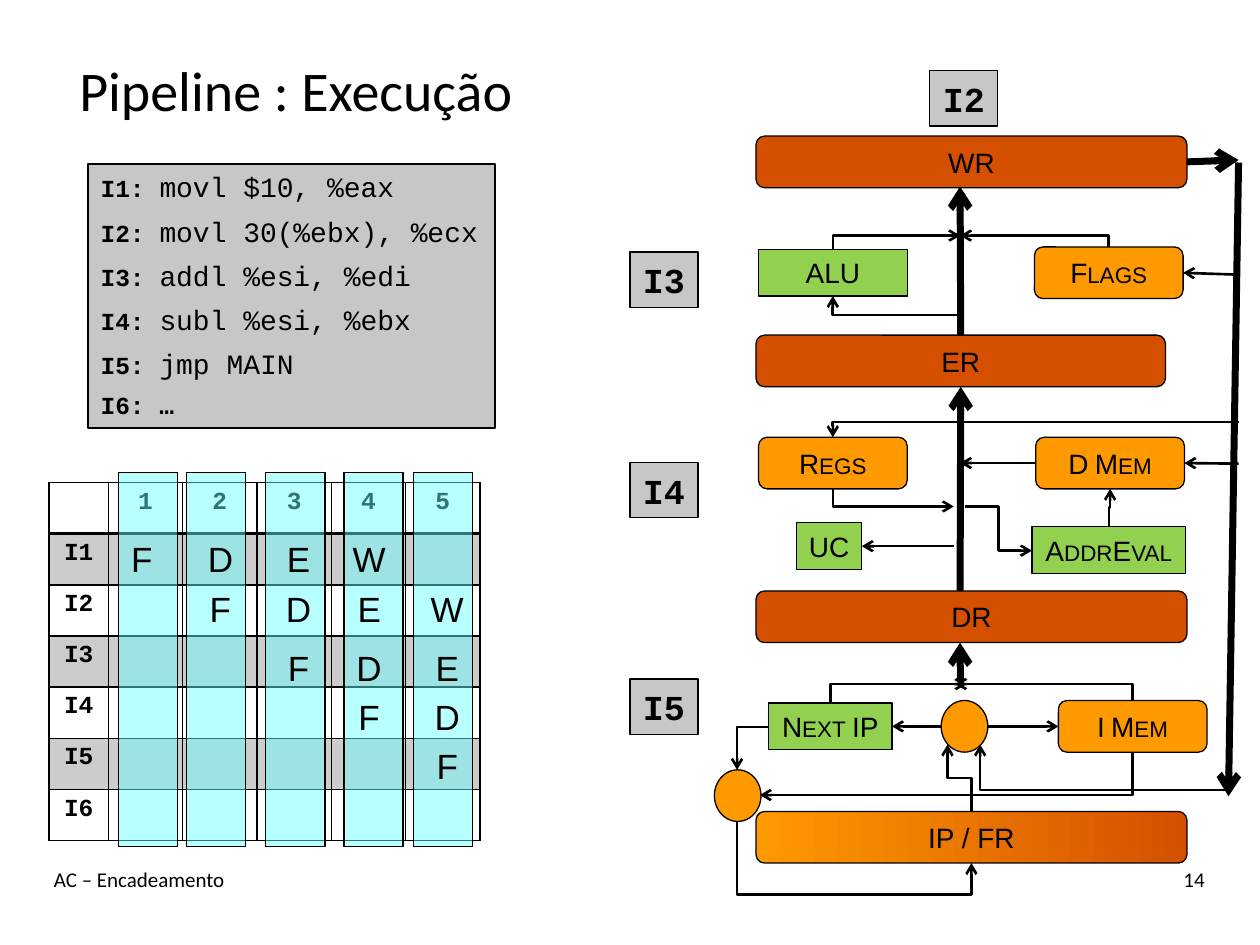
import pptx
import pptx.util
import pptx.dml.color
import pptx.enum.shapes
import pptx.enum.text
import pptx.oxml
import pptx.oxml.ns
import lxml.etree

Pt = pptx.util.Pt
RGBColor = pptx.dml.color.RGBColor
MSO_SHAPE = pptx.enum.shapes.MSO_SHAPE
MSO_CONNECTOR = pptx.enum.shapes.MSO_CONNECTOR
PP_ALIGN = pptx.enum.text.PP_ALIGN
MSO_ANCHOR = pptx.enum.text.MSO_ANCHOR
qn = pptx.oxml.ns.qn

BLACK = RGBColor(0x00, 0x00, 0x00)
GREY = RGBColor(0xC7, 0xC7, 0xC7)
BAND = RGBColor(0xCC, 0xCC, 0xCC)
CYAN = RGBColor(0x66, 0xFF, 0xFF)
ORANGE = RGBColor(0xFF, 0x99, 0x00)
RUST = RGBColor(0xD4, 0x50, 0x00)
GREEN = RGBColor(0x92, 0xD0, 0x50)

CELL = pptx.util.Inches(0.1)
COLUMNS, ROWS = 100, 75
MONO = "Courier New"


def grid(*values):
    return [round(v * CELL) for v in values]


def sub(parent, tag, **attrs):
    return lxml.etree.SubElement(parent, qn(tag), attrs)


def add_run(p, text, size, font="Arial", bold=False):
    r = p.add_run()
    r.text = text
    r.font.size = Pt(size)
    r.font.name = font
    r.font.bold = bold
    r.font.color.rgb = BLACK
    return r


def add_label(s, box, text, size, font="Arial", align=PP_ALIGN.LEFT,
              anchor=MSO_ANCHOR.TOP):
    tf = s.shapes.add_textbox(*grid(*box)).text_frame
    tf.word_wrap = True
    tf.vertical_anchor = anchor
    tf.paragraphs[0].alignment = align
    add_run(tf.paragraphs[0], text, size, font)


def add_block(s, kind, box, color, line=0.75):
    sp = s.shapes.add_shape(kind, *grid(*box))
    sp.shadow.inherit = False
    sp.fill.solid()
    sp.fill.fore_color.rgb = color
    sp.line.color.rgb = BLACK
    sp.line.width = Pt(line)
    return sp


def add_box(s, kind, box, color, text, size=16, font="Arial", bold=False):
    sp = add_block(s, kind, box, color)
    tf = sp.text_frame
    tf.word_wrap = False
    tf.vertical_anchor = MSO_ANCHOR.MIDDLE
    p = tf.paragraphs[0]
    p.alignment = PP_ALIGN.CENTER
    r = add_run(p, text, size, font, bold)
    if not text.isupper():
        r.font._element.set("cap", "small")
    return sp


def style_arrow(c, width):
    c.line.color.rgb = BLACK
    c.line.width = Pt(width)
    sub(c.line._get_or_add_ln(), "a:tailEnd", type="arrow")
    sub(c._element.spPr, "a:effectLst")


def add_arrow(s, x1, y1, x2, y2, width=1.5, begin=None, end=None):
    c = s.shapes.add_connector(MSO_CONNECTOR.STRAIGHT, *grid(x1, y1, x2, y2))
    if begin:
        c.begin_connect(*begin)
    if end:
        c.end_connect(*end)
    style_arrow(c, width)


def add_elbow(s, x1, y1, x2, y2, vertical=True, bends=1, adj=0.5):
    c = s.shapes.add_connector(MSO_CONNECTOR.ELBOW, *grid(x1, y1, x2, y2))
    geom = c._element.spPr.find(qn("a:prstGeom"))
    geom.set("prst", f"bentConnector{bends + 1}")
    if bends == 2:
        guides = geom.find(qn("a:avLst"))
        if guides is None:
            guides = sub(geom, "a:avLst")
        sub(guides, "a:gd", name="adj1", fmla=f"val {round(adj * 100000)}")
    if vertical:
        w, h = abs(y2 - y1), abs(x2 - x1)
        c.left, c.top, c.width, c.height = grid(
            (x1 + x2 - w) / 2, (y1 + y2 - h) / 2, w, h)
        flip_h, flip_v, turn = y2 < y1, x2 > x1, 90
        if flip_h != flip_v:
            flip_h, flip_v, turn = flip_v, flip_h, 270
        xfrm = c._element.spPr.find(qn("a:xfrm"))
        xfrm.set("rot", str(turn * 60000))
        xfrm.set("flipH", str(int(flip_h)))
        xfrm.set("flipV", str(int(flip_v)))
    style_arrow(c, 1.5)


def style_cell(cell, row, text):
    cell.text_frame.paragraphs[0].alignment = PP_ALIGN.CENTER
    if text:
        add_run(cell.text_frame.paragraphs[0], text, 14, MONO, True)
    tcPr = cell._tc.get_or_add_tcPr()
    for side in "LRTB":
        thick = (row, side) in ((0, "B"), (1, "T"))
        ln = sub(tcPr, f"a:ln{side}", w=str(Pt(2 if thick else 1)))
        sub(sub(ln, "a:solidFill"), "a:srgbClr", val=str(BLACK))
    if row % 2:
        cell.fill.solid()
        cell.fill.fore_color.rgb = BAND
    else:
        cell.fill.background()


def add_schedule(s):
    table = s.shapes.add_table(7, 6, *grid(3.9, 38.3, 34.2, 28.4)).table
    table.first_row = table.horz_banding = False
    for i, column in enumerate(table.columns):
        column.width = grid(5.9 if i else 4.7)[0]
    for j, row in enumerate(table.rows):
        row.height = grid(4.06)[0]
        for i, cell in enumerate(row.cells):
            text = f"I{j}" if j and not i else str(i) if i and not j else ""
            style_cell(cell, j, text)
    for x in (32.8, 27.3, 21.1, 14.8, 9.4):
        sp = add_block(s, MSO_SHAPE.RECTANGLE, (x, 37.5, 4.7, 29.7), CYAN)
        color = sp._element.spPr.find(qn("a:solidFill"))[0]
        sub(color, "a:alpha", val="46000")
    centres = (11.25, 17.5, 23.7, 29.3, 35.5)
    tops = (42.2, 46.1, 50.8, 54.7, 58.6)
    widths = {"F": 3.7, "D": 4, "E": 3.9, "W": 4.7}
    for i, top in enumerate(tops):
        for centre, (stage, w) in zip(centres[i:], widths.items()):
            add_label(s, (centre - w / 2, top, w, 4.4), stage, 20,
                      align=PP_ALIGN.CENTER)


def add_code(s):
    sp = add_block(s, MSO_SHAPE.RECTANGLE, (7, 13, 32.3, 21), GREY, 1.25)
    tf = sp.text_frame
    tf.word_wrap = False
    tf.vertical_anchor = MSO_ANCHOR.TOP
    code = ("movl $10, %eax", "movl 30(%ebx), %ecx", "addl %esi, %edi",
            "subl %esi, %ebx", "jmp MAIN", "")
    for i, text in enumerate(code, 1):
        p = tf.paragraphs[0] if i == 1 else tf.add_paragraph()
        p.alignment = PP_ALIGN.LEFT
        p.space_after = Pt(6)
        add_run(p, f"I{i}: " if text else f"I{i}: …", 14, MONO, True)
        if text:
            add_run(p, text, 16, MONO)


def add_datapath(s):
    rect, rounded = MSO_SHAPE.RECTANGLE, MSO_SHAPE.ROUNDED_RECTANGLE
    bars = {}
    for name, y, w in (("WR", 10.8, 34.2), ("ER", 26.6, 32.5),
                       ("DR", 46.9, 34.2), ("IP / FR", 64.4, 34.2)):
        bars[name] = add_box(s, rounded, (60, y, w, 4.1), RUST, name)
    fill = bars["IP / FR"].fill
    fill.gradient()
    fill.gradient_angle = 0
    for stop, color in zip(fill.gradient_stops, (ORANGE, RUST)):
        stop.color.rgb = color
    units = {}
    for name, x, y in (("I Mem", 84, 55.6), ("D Mem", 82.2, 34.7),
                       ("Regs", 60.2, 34.7), ("Flags", 82.1, 19.6)):
        units[name] = add_box(s, rounded, (x, y, 11.8, 4.1), ORANGE, name)
    for name, x, y, w in (("Next IP", 61, 55.8, 9.8), ("UC", 63.2, 41.5, 5.2),
                          ("ALU", 60.2, 19.8, 11.8),
                          ("AddrEval", 81.9, 41.8, 12.2)):
        units[name] = add_box(s, rect, (x, y, w, 3.7), GREEN, name)
    for x, y in ((74.7, 55.6), (56.7, 61.1)):
        add_block(s, MSO_SHAPE.OVAL, (x, y, 3.7, 4.1), ORANGE)

    add_arrow(s, 76.2, 54.1, 76.2, 51, 4)
    add_arrow(s, 76.2, 46.9, 76.2, 30.7, 4, end=(bars["ER"], 2))
    add_arrow(s, 76.2, 26.6, 76.2, 14.8, 4, begin=(bars["ER"], 0))
    add_arrow(s, 94.2, 12.9, 98.3, 12.7, 4, begin=(bars["WR"], 3))
    add_arrow(s, 98.3, 12.9, 97.5, 63.2, 4)
    add_arrow(s, 98.3, 21.8, 93.9, 21.65, end=(units["Flags"], 3))
    add_arrow(s, 98.3, 36.8, 94, 36.75, end=(units["D Mem"], 3))
    add_arrow(s, 82.2, 36.75, 76.2, 36.75, begin=(units["D Mem"], 1))
    add_arrow(s, 75.7, 43.35, 68.4, 43.35, end=(units["UC"], 3))
    add_arrow(s, 74.7, 57.65, 70.8, 57.65, end=(units["Next IP"], 3))
    add_arrow(s, 78.4, 57.65, 84, 57.65, end=(units["I Mem"], 1))

    for ends in ((65.9, 55.8, 76.7, 54.3), (89.9, 55.6, 75.8, 54.3),
                 (66.1, 38.8, 75.7, 40.2), (66.1, 19.8, 76.2, 18.7),
                 (88, 19.6, 76.2, 18.7), (89.9, 59.7, 60.3, 63.1)):
        add_elbow(s, *ends)
    for ends in ((76.2, 25, 66.1, 23.5), (98.3, 33.5, 66.1, 34.7),
                 (97.5, 62.7, 77.8, 59.1), (61, 57.7, 58.5, 61.1)):
        add_elbow(s, *ends, vertical=False)
    add_elbow(s, 77.1, 64.4, 75.2, 59.1, bends=2)
    add_elbow(s, 88, 41.8, 88.1, 38.8, bends=2)
    add_elbow(s, 58.5, 65.2, 77.1, 68.5, bends=2, adj=1.75)
    add_elbow(s, 76.6, 40.2, 81.9, 43.7, vertical=False, bends=2)


def main():
    prs = pptx.Presentation()
    prs.slide_width, prs.slide_height = grid(COLUMNS, ROWS)
    s = prs.slides.add_slide(prs.slide_layouts[6])
    add_schedule(s)
    add_label(s, (3.3, 2.5, 40.4, 9.2), "Pipeline : Execução", 32, "Calibri",
              PP_ALIGN.CENTER, MSO_ANCHOR.MIDDLE)
    add_label(s, (3.3, 68.3, 70, 5), "AC – Encadeamento", 12, "Calibri")
    add_label(s, (83.3, 68.3, 13.3, 5), "14", 12, "Calibri", PP_ALIGN.RIGHT)
    add_code(s)
    add_datapath(s)
    for name, x, y in (("I2", 73.8, 5.6), ("I3", 50, 20),
                       ("I4", 50, 36.7), ("I5", 50, 53.9)):
        add_box(s, MSO_SHAPE.RECTANGLE, (x, y, 5.4, 4.4), GREY, name, 20,
                MONO, True)
    prs.save("out.pptx")


if __name__ == "__main__":
    main()
